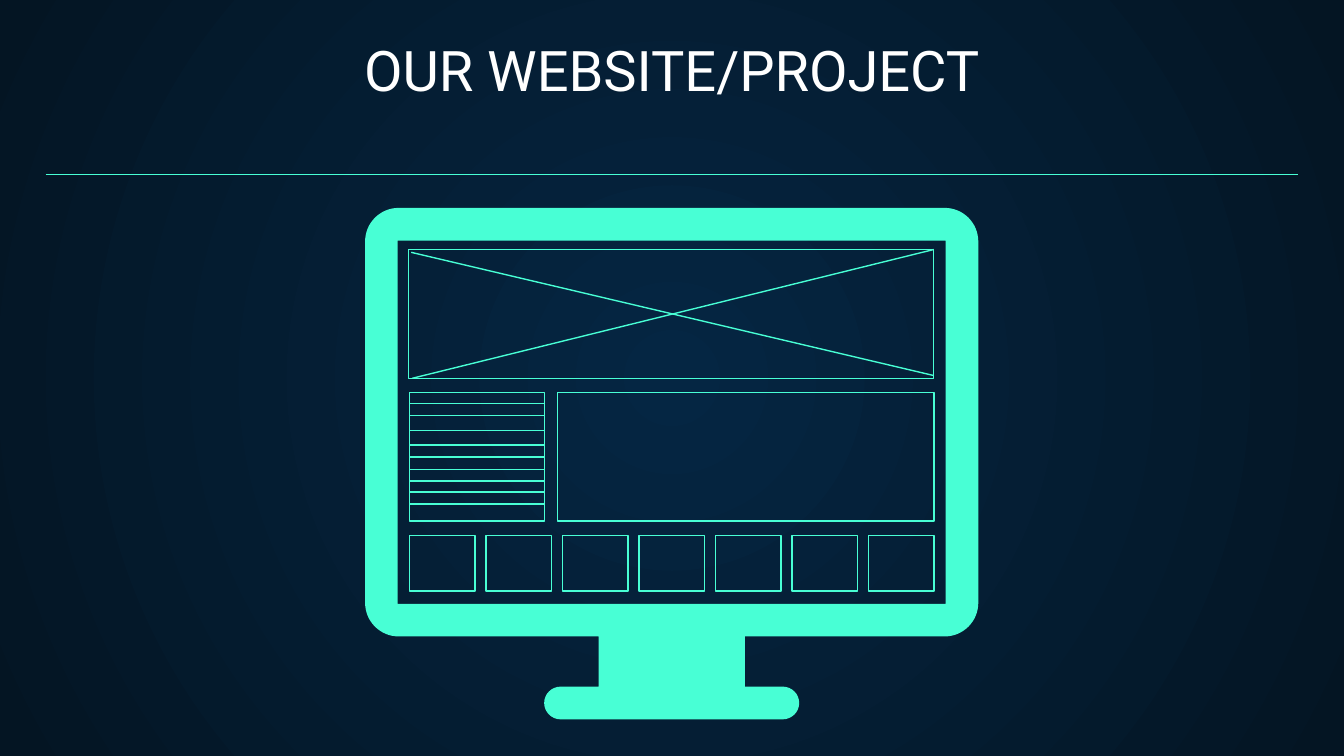
from dataclasses import dataclass
from math import cos, radians, sin

from lxml import etree
from pptx import Presentation
from pptx.dml.color import RGBColor
from pptx.enum.shapes import MSO_CONNECTOR, MSO_SHAPE
from pptx.enum.text import MSO_ANCHOR, MSO_AUTO_SIZE, PP_ALIGN
from pptx.oxml.ns import qn
from pptx.util import Pt

STRAIGHT = MSO_CONNECTOR.STRAIGHT
RECTANGLE = MSO_SHAPE.RECTANGLE
BOTTOM = MSO_ANCHOR.BOTTOM
NO_AUTOFIT = MSO_AUTO_SIZE.NONE
CENTER = PP_ALIGN.CENTER
TITLE_ONLY = 5


@dataclass(frozen=True)
class Theme:
    """Colours, type and line sizes of the slide."""
    accent: RGBColor = RGBColor(0x48, 0xFF, 0xD5)
    glow: RGBColor = RGBColor(0x05, 0x26, 0x43)
    edge: RGBColor = RGBColor(0x04, 0x15, 0x23)
    heading: RGBColor = RGBColor(0xFF, 0xFF, 0xFF)
    font: str = "Roboto"
    heading_size: float = 30
    line_width: float = 0.75


THEME = Theme()


def apply(target, values):
    """Set each named format value on the target."""
    for name, value in values.items():
        setattr(target, name, value)


def paint_background(slide):
    """Fill the slide with a glow that darkens outward from the centre."""
    fill = slide.background.fill
    fill.gradient()
    for stop, color in zip(fill.gradient_stops, (THEME.glow, THEME.edge)):
        stop.color.rgb = color
    gradient = next(slide.element.iter(qn("a:gradFill")))
    for linear in gradient.findall(qn("a:lin")):
        gradient.remove(linear)
    circle = etree.SubElement(gradient, qn("a:path"), path="circle")
    center = dict.fromkeys("ltrb", "50000")
    etree.SubElement(circle, qn("a:fillToRect"), center)


def rule(shapes, x1, y1, x2, y2):
    """Draw a thin accent line between two points."""
    line = shapes.add_connector(STRAIGHT, Pt(x1), Pt(y1), Pt(x2), Pt(y2))
    line.line.color.rgb = THEME.accent
    line.line.width = Pt(THEME.line_width)
    etree.SubElement(line.element.spPr, qn("a:effectLst"))


def frame(shapes, x, y, width, height):
    """Draw an unfilled rectangle with an accent outline."""
    outline = shapes.add_shape(RECTANGLE, Pt(x), Pt(y), Pt(width), Pt(height))
    outline.shadow.inherit = False
    outline.fill.background()
    outline.line.color.rgb = THEME.accent
    outline.line.width = Pt(THEME.line_width)


def add_heading(slide, x, y, width, height):
    """Place the title and the rule below it."""
    title = slide.shapes.title
    apply(title, {"left": Pt(x), "top": Pt(y), "width": Pt(width), "height": Pt(height)})
    text = title.text_frame
    text.text = "OUR WEBSITE/PROJECT"
    margins = ("margin_left", "margin_top", "margin_right", "margin_bottom")
    apply(text, dict.fromkeys(margins, Pt(7.2)))
    apply(text, {"vertical_anchor": BOTTOM, "word_wrap": True, "auto_size": NO_AUTOFIT})
    paragraph = text.paragraphs[0]
    paragraph.alignment = CENTER
    font = paragraph.runs[0].font
    apply(font, {"name": THEME.font, "size": Pt(THEME.heading_size), "bold": False})
    font.color.rgb = THEME.heading
    rule(slide.shapes, x, 93.6, x + width, 93.6)


def arc(cx, cy, radius, start, sweep=90):
    """Return points along a clockwise arc, with angles in degrees."""
    steps = 16
    angles = [radians(start + sweep * i / steps) for i in range(steps + 1)]
    return [(cx + radius * cos(a), cy + radius * sin(a)) for a in angles]


def add_monitor(slide, x, y, width, height):
    """Draw the monitor with its open screen, neck and foot."""
    corner, foot_radius, bezel = 18, 8.75, 17.5
    body_bottom, middle = 229.6, width / 2
    foot_top, foot_middle = height - 2 * foot_radius, height - foot_radius
    neck, foot = 39.2, 68.3
    outside = [
        *arc(corner, corner, corner, 180),
        *arc(width - corner, corner, corner, 270),
        *arc(width - corner, body_bottom - corner, corner, 0),
        (middle + neck, body_bottom), (middle + neck, foot_top),
        *arc(middle + foot - foot_radius, foot_middle, foot_radius, 270, 180),
        *arc(middle - foot + foot_radius, foot_middle, foot_radius, 90, 180),
        (middle - neck, foot_top), (middle - neck, body_bottom),
        *arc(corner, body_bottom - corner, corner, 90),
    ]
    right, low = width - bezel, body_bottom - bezel
    screen = [(bezel, bezel), (bezel, low), (right, low), (right, bezel)]
    outside, screen = (
        [(Pt(x + px), Pt(y + py)) for px, py in contour] for contour in (outside, screen)
    )
    builder = slide.shapes.build_freeform(*outside[0])
    builder.add_line_segments(outside[1:], close=True)
    builder.move_to(*screen[0])
    builder.add_line_segments(screen[1:], close=True)
    monitor = builder.convert_to_shape()
    monitor.shadow.inherit = False
    monitor.fill.solid()
    monitor.fill.fore_color.rgb = THEME.accent
    monitor.line.fill.background()


def add_hero(slide, x, y, width, height):
    """Draw the crossed banner frame."""
    frame(slide.shapes, x, y, width, height)
    rule(slide.shapes, x + 1.5, y + 1.5, x + width, y + height - 1.5)
    rule(slide.shapes, x + 2, y + height, x + width, y)


def add_menu(slide, x, y, width, height):
    """Draw the side menu frame with its text lines."""
    frame(slide.shapes, x, y, width, height)
    for offset in (5.9, 12.3, 20.3, 28.3, 34.7, 41.2, 47.6, 53.5, 59.9):
        rule(slide.shapes, x, y + offset, x + width, y + offset)


def add_thumbnails(slide, x, y, width, height):
    """Draw a grouped row of equally spaced thumbnail frames."""
    count, thumbnail = 7, 35.2
    step = (width - thumbnail) / (count - 1)
    row = slide.shapes.add_group_shape()
    for i in range(count):
        frame(row.shapes, x + i * step, y, thumbnail, height)


def main():
    """Build and save the slide."""
    deck = Presentation()
    deck.slide_width, deck.slide_height = Pt(720), Pt(405)
    slide = deck.slides.add_slide(deck.slide_layouts[TITLE_ONLY])
    paint_background(slide)
    add_heading(slide, 24.5, 15, 671, 47.5)
    add_monitor(slide, 195.6, 111.4, 328.5, 274)
    add_hero(slide, 218.8, 133.7, 281.4, 69)
    add_menu(slide, 219.3, 210.2, 72.4, 69)
    frame(slide.shapes, 298.8, 210.2, 201.6, 69)
    add_thumbnails(slide, 219.3, 286.9, 281.2, 29.7)
    deck.save("out.pptx")


if __name__ == "__main__":
    main()
